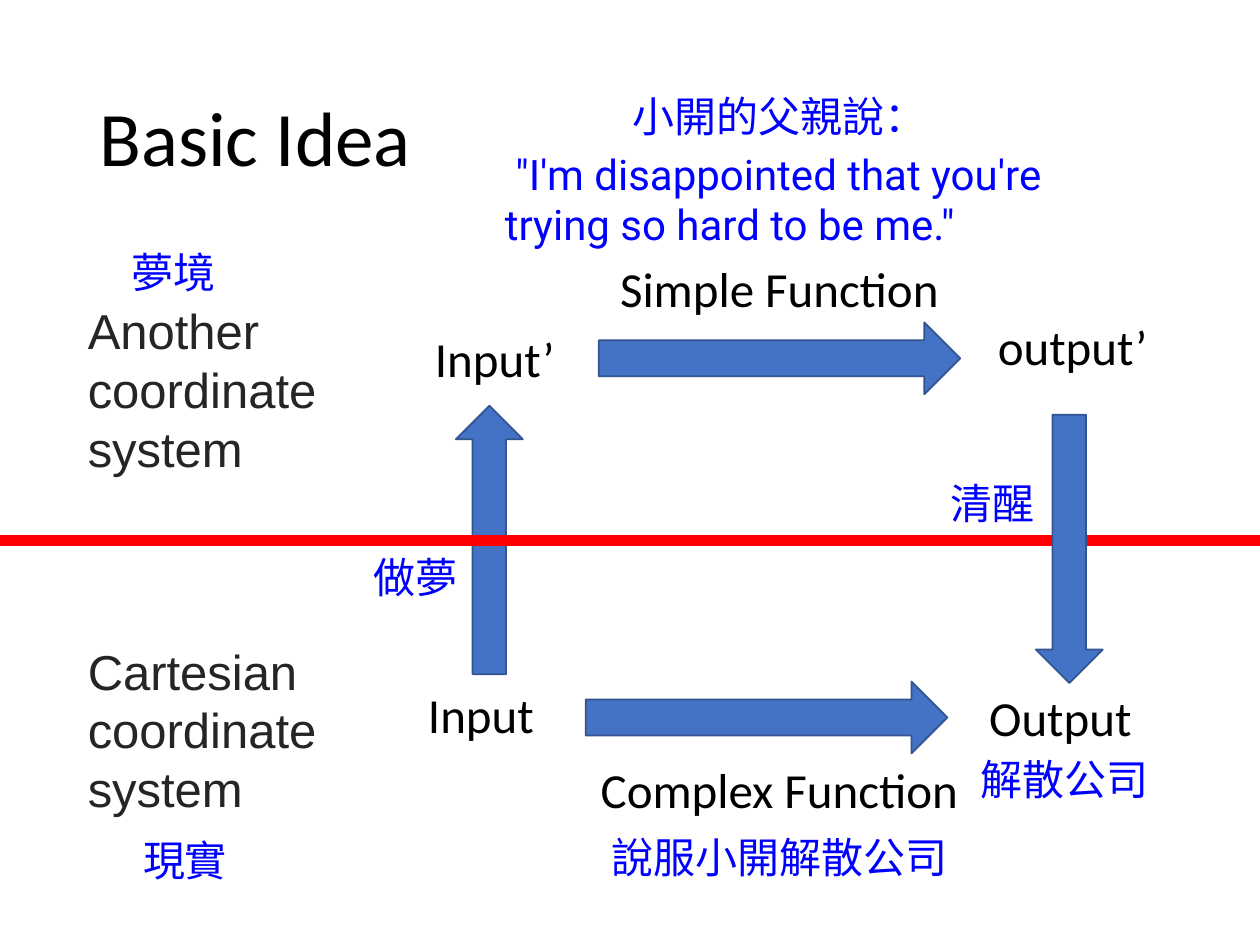
"""Build the Basic Idea slide: two coordinate systems linked by arrows."""
import pptx
import pptx.util
import pptx.dml.color
import pptx.enum.shapes
import pptx.enum.text
import pptx.oxml.ns
from lxml import etree

Cm, Pt = pptx.util.Cm, pptx.util.Pt
PP_ALIGN = pptx.enum.text.PP_ALIGN
COLORS = {"black": "000000", "system": "252525", "story": "0000FF",
          "arrow": "4472C4", "outline": "325491", "divider": "FF0000"}

STYLES = {
    "system": ("Arial", 28, "system", PP_ALIGN.LEFT),
    "diagram": ("Calibri", 28, "black", PP_ALIGN.CENTER),
    "story": ("Noto Sans CJK SC", 24, "story", PP_ALIGN.CENTER),
    "quote": ("Roboto", 24, "story", PP_ALIGN.LEFT),
}
TEXTS = [
    ("system", "Another coordinate system", 1.52, 5.94, 5.49, 3.84),
    ("system", "Cartesian coordinate system", 1.52, 12.8, 5.49, 3.84),
    ("diagram", "Simple Function", 11.43, 5.08, 8.56, 1.45),
    ("diagram", "Complex Function", 11.43, 15.19, 8.56, 1.45),
    ("diagram", "Input’", 7.7, 6.5, 4.55, 1.45),
    ("diagram", "output’", 19.35, 6.25, 4.55, 1.45),
    ("diagram", "Input", 7.42, 13.67, 4.55, 1.45),
    ("diagram", "Output", 19.1, 13.74, 4.55, 1.45),
    ("story", "小開的父親說：", 10.8, 1.7, 9.83, 1.27),
    ("quote", "\u00a0\"I'm disappointed that you're trying so hard to be me.\"",
     9.93, 2.87, 11.53, 2.31),
    ("story", "夢境", 0.64, 4.85, 5.72, 1.27),
    ("story", "清醒", 18.01, 9.5, 3.99, 1.27),
    ("story", "做夢", 6.78, 11, 3.18, 1.27),
    ("story", "解散公司", 18.52, 15.06, 5.89, 1.27),
    ("story", "說服小開解散公司", 11.73, 16.64, 7.98, 1.27),
    ("story", "現實", 1.47, 16.69, 4.52, 1.27),
]
ARROWS_BEHIND = [
    (12.07, 6.5, 7.29, 1.45, 0),
    (11.81, 13.74, 7.29, 1.45, 0),
    (7.16, 10.21, 5.41, 1.35, 270),
]
ARROW_IN_FRONT = (18.85, 10.39, 5.41, 1.35, 90)
DIVIDER_Y = 10.9


def rgb(name):
    return pptx.dml.color.RGBColor.from_string(COLORS[name])


def add_run(p, text, font, size, color):
    r = p.add_run()
    r.text = text
    r.font.name, r.font.size = font, Pt(size)
    r.font.color.rgb = rgb(color)
    ea = etree.SubElement(r.font._element, pptx.oxml.ns.qn("a:ea"))
    ea.set("typeface", font)


def add_text(s, style, text, *box):
    font, size, color, align = STYLES[style]
    tf = s.shapes.add_textbox(*map(Cm, box)).text_frame
    tf.word_wrap = True
    p = tf.paragraphs[0]
    p.alignment = align
    add_run(p, text, font, size, color)


def add_arrow(s, x, y, w, h, rotation):
    sp = s.shapes.add_shape(pptx.enum.shapes.MSO_SHAPE.RIGHT_ARROW,
                            Cm(x), Cm(y), Cm(w), Cm(h))
    sp.rotation = rotation
    sp.shadow.inherit = False
    sp.fill.solid()
    sp.fill.fore_color.rgb = rgb("arrow")
    sp.line.color.rgb = rgb("outline")
    sp.line.width = Pt(1)


def add_divider(s, y, width):
    line = s.shapes.add_connector(pptx.enum.shapes.MSO_CONNECTOR.STRAIGHT,
                                  0, Cm(y), width, Cm(y))
    line.line.color.rgb = rgb("divider")
    line.line.width = Pt(6)
    etree.SubElement(line._element.spPr, pptx.oxml.ns.qn("a:effectLst"))


prs = pptx.Presentation()
prs.slide_width, prs.slide_height = Cm(25.4), Cm(19.05)
s = prs.slides.add_slide(prs.slide_layouts[5])

title = s.shapes.title
title.left, title.top, title.width, title.height = map(Cm, (1.75, 1.02, 21.89, 3.68))
tf = title.text_frame
tf.vertical_anchor = pptx.enum.text.MSO_ANCHOR.MIDDLE
p = tf.paragraphs[0]
p.alignment, p.line_spacing = PP_ALIGN.LEFT, 0.9
add_run(p, "Basic Idea", "Calibri", 44, "black")

for arrow in ARROWS_BEHIND:
    add_arrow(s, *arrow)
add_divider(s, DIVIDER_Y, prs.slide_width)
for item in TEXTS:
    add_text(s, *item)
add_arrow(s, *ARROW_IN_FRONT)

prs.save("out.pptx")
